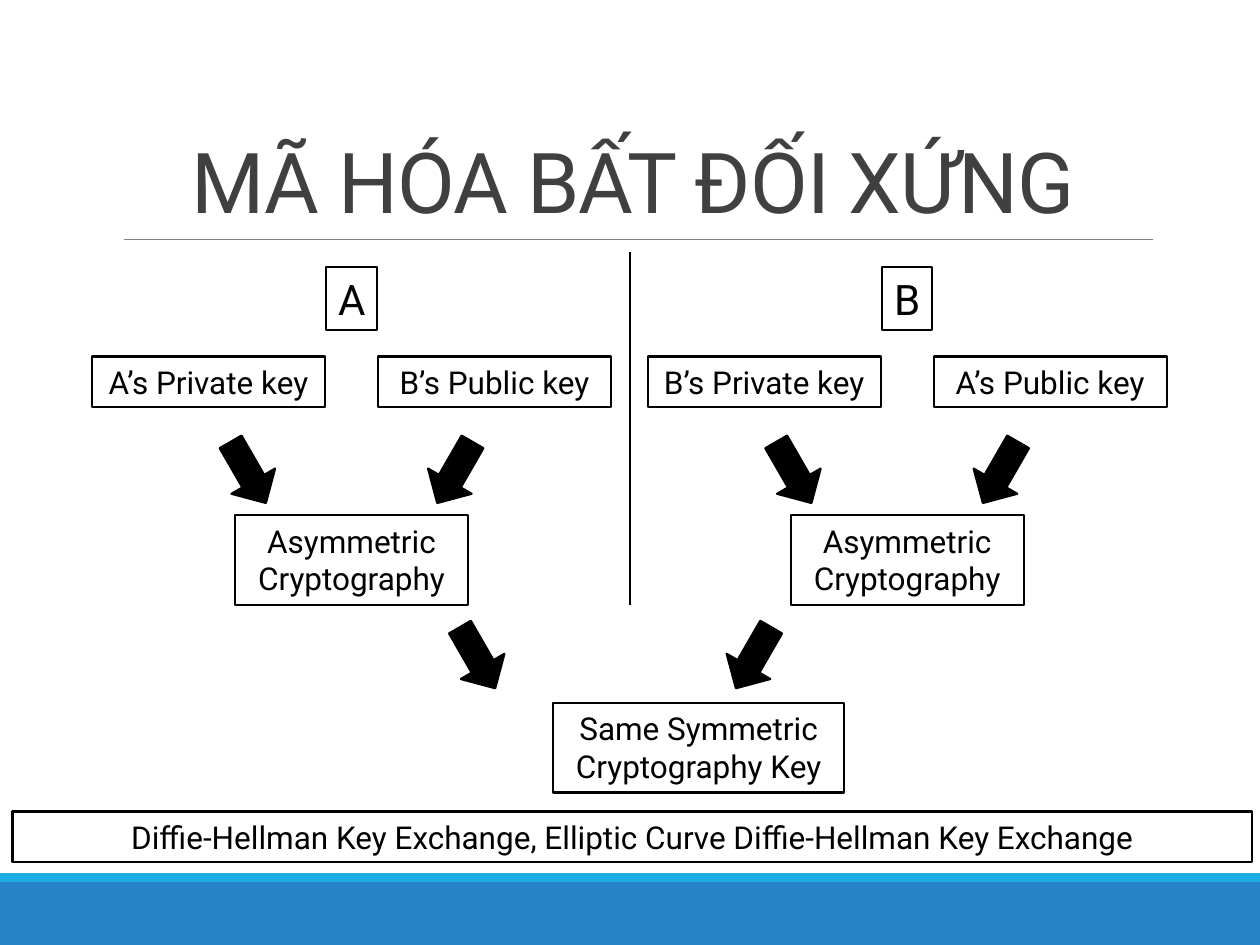
from pptx import Presentation
from pptx.dml.color import RGBColor
from pptx.enum.shapes import MSO_CONNECTOR, MSO_SHAPE
from pptx.enum.text import MSO_ANCHOR, MSO_AUTO_SIZE, PP_ALIGN
from pptx.oxml.ns import qn
from pptx.util import Pt

BLACK = RGBColor(0x00, 0x00, 0x00)
WHITE = RGBColor(0xFF, 0xFF, 0xFF)
TITLE_GRAY = RGBColor(0x40, 0x40, 0x40)
RULE_GRAY = RGBColor(0x80, 0x80, 0x80)
BAND_BLUE = RGBColor(0x26, 0x83, 0xC6)
STRIP_BLUE = RGBColor(0x1C, 0xAD, 0xE4)

SLIDE_W, SLIDE_H = 720, 540
KEY_W, KEY_H = 133.2, 28.8
LABEL_W, LABEL_H = 28.8, 36
RESULT_H = 51.12
ARROW_W, ARROW_H = 40.32, 28.8
PARTY_W = 296.64

TITLE_FONT = {"name": "Roboto", "size": Pt(48)}
LABEL_FONT = {"name": "Roboto", "size": Pt(24)}
BODY_FONT = {"name": "Roboto", "size": Pt(18)}
TITLE_FRAME = {"word_wrap": True, "vertical_anchor": MSO_ANCHOR.BOTTOM}
BOX_FRAME = {
    "word_wrap": True,
    "vertical_anchor": MSO_ANCHOR.TOP,
    "auto_size": MSO_AUTO_SIZE.SHAPE_TO_FIT_TEXT,
}
LABEL_FRAME = {**BOX_FRAME, "word_wrap": False}
CENTERED = {"alignment": PP_ALIGN.CENTER}
LEFT = {"alignment": PP_ALIGN.LEFT}


def apply_format(target, values):
    """Set every attribute in values on target."""
    for attribute, value in values.items():
        setattr(target, attribute, value)


def write_text(shape, text, frame_format, paragraph_format, font_format, color):
    """Write one formatted paragraph and return its run."""
    frame = shape.text_frame
    apply_format(frame, frame_format)
    paragraph = frame.paragraphs[0]
    apply_format(paragraph, paragraph_format)
    run = paragraph.add_run()
    run.text = text
    apply_format(run.font, font_format)
    run.font.color.rgb = color
    return run


def add_preset(slide, preset, box, fill, outline=None):
    """Add a flat preset shape in the given box."""
    shape = slide.shapes.add_shape(preset, *map(Pt, box))
    shape.shadow.inherit = False
    shape.fill.solid()
    shape.fill.fore_color.rgb = fill
    if outline is None:
        shape.line.fill.background()
    else:
        shape.line.color.rgb = outline
        shape.line.width = Pt(1.25)
    return shape


def add_text_box(slide, box, text, frame=BOX_FRAME, paragraph=CENTERED, font=BODY_FONT):
    """Add a white, black-edged box of text."""
    shape = add_preset(slide, MSO_SHAPE.RECTANGLE, box, WHITE, BLACK)
    write_text(shape, text, frame, paragraph, font, BLACK)


def add_arrow(slide, left, top, angle):
    """Add a black block arrow turned by angle degrees."""
    box = (left, top, ARROW_W, ARROW_H)
    arrow = add_preset(slide, MSO_SHAPE.RIGHT_ARROW, box, BLACK, BLACK)
    arrow.rotation = angle


def add_arrow_pair(slide, left, top, gap):
    """Add two arrows that converge downwards."""
    add_arrow(slide, left, top, 60)
    add_arrow(slide, left + gap, top, 120)


def add_rule(slide, start, end, color, width):
    """Add a straight flat line."""
    rule = slide.shapes.add_connector(MSO_CONNECTOR.STRAIGHT, *map(Pt, start + end))
    rule.line.color.rgb = color
    rule.line.width = Pt(width)
    properties = rule.element.spPr
    properties.append(properties.makeelement(qn("a:effectLst"), {}))


def add_footer(slide, left, top, width, height):
    """Place the two blue bands at the foot of the slide."""
    strip_h = 5.04
    band = (left, top + strip_h, width, height - strip_h)
    add_preset(slide, MSO_SHAPE.RECTANGLE, band, BAND_BLUE)
    add_preset(slide, MSO_SHAPE.RECTANGLE, (left, top, width, strip_h), STRIP_BLUE)


def add_heading(slide, left, top, width, height):
    """Place the title and the rule beneath it."""
    rule_y = top + height + 1.4
    add_rule(slide, (left + 5.8, rule_y), (left + width, rule_y), RULE_GRAY, 0.5)
    title = slide.shapes.add_textbox(*map(Pt, (left, top, width, height)))
    paragraph = {**CENTERED, "line_spacing": 0.85}
    run = write_text(
        title, "MÃ HÓA BẤT ĐỐI XỨNG", TITLE_FRAME, paragraph, TITLE_FONT, TITLE_GRAY
    )
    run.font._element.set("spc", "-50")


def add_party(slide, left, top, width, owner, peer, arrow_inset):
    """Place one party's label, its two keys and their combination."""
    label = (left + (width - LABEL_W) / 2, top, LABEL_W, LABEL_H)
    add_text_box(slide, label, owner, LABEL_FRAME, LEFT, LABEL_FONT)
    key_top = top + 51.12
    keys = ((left, f"{owner}’s Private key"),
            (left + width - KEY_W, f"{peer}’s Public key"))
    for key_left, key_text in keys:
        add_text_box(slide, (key_left, key_top, KEY_W, KEY_H), key_text)
    add_arrow_pair(slide, left + arrow_inset, top + 102.96, 118.08)
    combination = (left + (width - KEY_W) / 2, top + 141.84, KEY_W, RESULT_H)
    add_text_box(slide, combination, "Asymmetric Cryptography")


def add_shared_key(slide, left, top, width):
    """Place the shared key and the arrows that lead to it."""
    add_arrow_pair(slide, left - 63.36, top - 40.32, 157.68)
    add_text_box(slide, (left, top, width, RESULT_H), "Same Symmetric Cryptography Key")


def main():
    """Build and save the slide."""
    presentation = Presentation()
    apply_format(
        presentation, {"slide_width": Pt(SLIDE_W), "slide_height": Pt(SLIDE_H)}
    )
    slide = presentation.slides.add_slide(presentation.slide_layouts[6])
    add_footer(slide, 0, 498.96, SLIDE_W, SLIDE_H - 498.96)
    add_heading(slide, 64.8, 20.88, 594, 114.48)
    add_party(slide, 52.56, 152.64, PARTY_W, "A", "B", 69.12)
    add_party(slide, 370.08, 152.64, PARTY_W, "B", "A", 63.36)
    add_rule(slide, (360, 144), (360, 345.6), BLACK, 1)
    add_shared_key(slide, 316.08, 401.76, 166.32)
    add_text_box(
        slide,
        (7.2, 463.68, 708.48, KEY_H),
        "Diffie-Hellman Key Exchange, Elliptic Curve Diffie-Hellman Key Exchange",
    )
    presentation.save("out.pptx")


if __name__ == "__main__":
    main()
